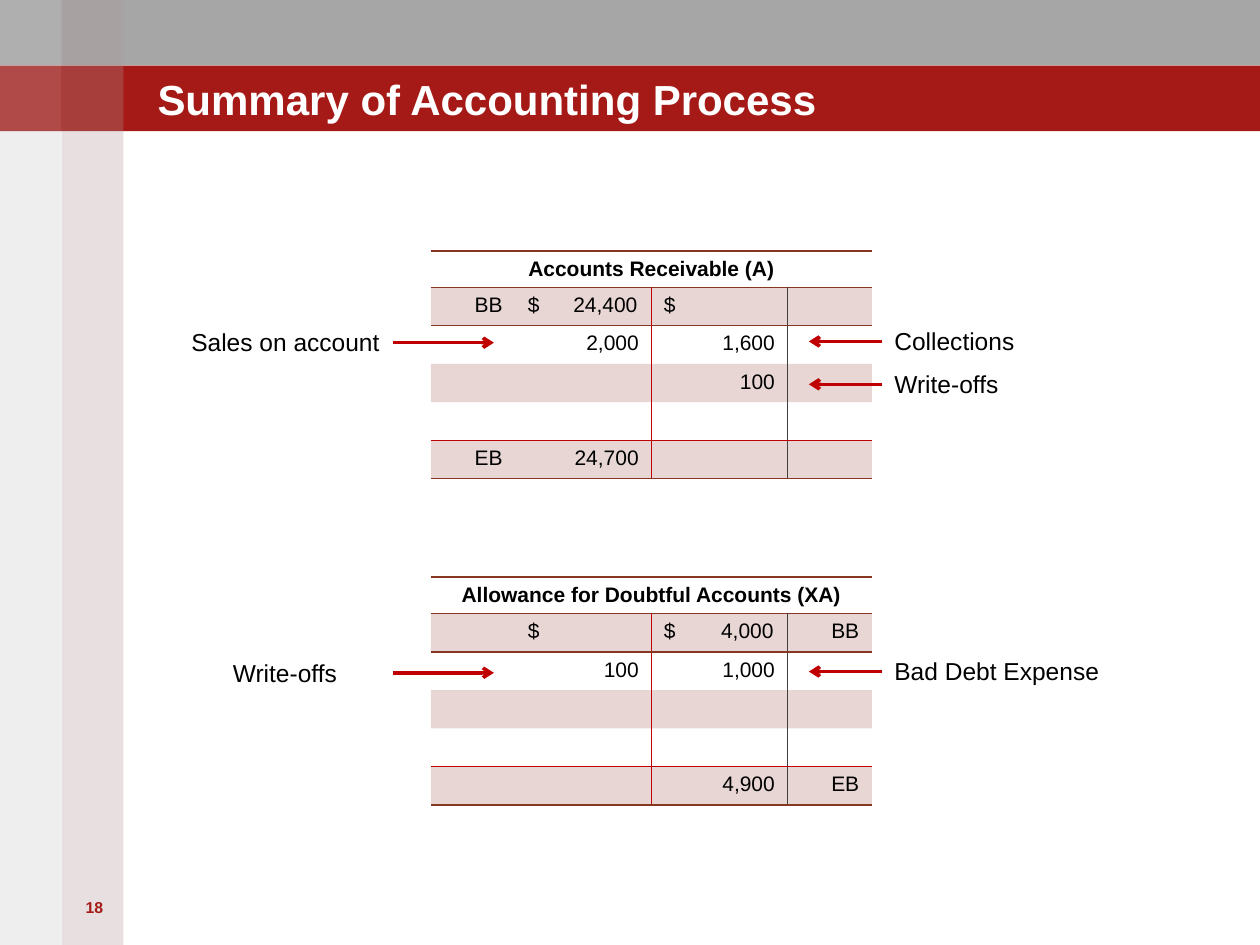
"""Build the slide that sums up the accounting process with two T-accounts."""
from lxml.etree import SubElement as Sub
from pptx import Presentation
from pptx.dml.color import RGBColor
from pptx.enum.shapes import MSO_CONNECTOR as Line, MSO_SHAPE as Shape
from pptx.enum.text import MSO_ANCHOR as Anchor, PP_ALIGN as Align
from pptx.oxml.ns import qn
from pptx.util import Inches, Pt

GRAY = RGBColor(0xA6, 0xA6, 0xA6)
RED = RGBColor(0xA5, 0x1A, 0x17)
ROSE = RGBColor(0xA0, 0x82, 0x84)
STONE = RGBColor(0x93, 0x8F, 0x8F)
WHITE = RGBColor(0xFF, 0xFF, 0xFF)
BLACK = RGBColor(0, 0, 0)
DARK = RGBColor(0x40, 0x40, 0x40)
BROWN = RGBColor(0x87, 0x36, 0x24)
CRIMSON = RGBColor(0xC0, 0, 0)

PLAIN = "{2D5ABB26-0587-4C30-8999-92F81FD0307C}"
WIDE, HIGH = 10, 7.5
COL, BAR = 0.49, 0.52
LEFT, RIGHT = 3.12, 7
TALL = 0.34
COLS = [0.67, 1.08, 1.08, 0.67]
ROW = 0.29


def paint(item, color, alpha=100):
    item.fill.solid()
    item.fill.fore_color.rgb = color
    if alpha < 100:
        props = item._element.spPr if hasattr(item, "shadow") else item._tc.tcPr
        tone = props.find(qn("a:solidFill"))[0]
        Sub(tone, qn("a:alpha"), val=str(alpha * 1000))


def write(frame, text, size, color, bold=False, align=Align.LEFT):
    frame.text = text
    par = frame.paragraphs[0]
    par.alignment = align
    for run in par.runs:
        font = run.font
        font.name, font.size, font.bold = "Arial", Pt(size), bold
        font.color.rgb = color
    return par


deck = Presentation()
deck.slide_width, deck.slide_height = Inches(WIDE), Inches(HIGH)
slide = deck.slides.add_slide(deck.slide_layouts[5])
shapes = slide.shapes

bands = [
    (0, 0, WIDE, BAR, GRAY, 100),
    (0, BAR, WIDE, BAR, RED, 100),
    (COL, 0, COL, HIGH, ROSE, 25),
    (0, 0, COL, HIGH, STONE, 15),
]
bands += [(x * COL, y * BAR, COL, BAR, WHITE, alpha)
          for y in (0, 1) for x, alpha in ((1, 5), (0, 15))]
for x, y, wide, high, color, alpha in bands:
    band = shapes.add_shape(Shape.RECTANGLE, *map(Inches, (x, y, wide, high)))
    band.shadow.inherit = False
    band.line.fill.background()
    paint(band, color, alpha)

page = shapes.add_textbox(*map(Inches, (0.5, 7.08, 0.5, 0.4)))
page.text_frame.word_wrap = True
write(page.text_frame, "18", 9, RED, True, Align.CENTER)

title = shapes.title
shapes._spTree.append(title._element)
title.left, title.top, title.width, title.height = map(Inches, (1.25, 0.31, 8.25, 0.67))
frame = title.text_frame
frame.margin_left = frame.margin_right = frame.margin_top = frame.margin_bottom = 0
frame.vertical_anchor = Anchor.BOTTOM
write(frame, "Summary of Accounting Process", 24, WHITE, True)

accounts = [
    (1.99, "Accounts Receivable (A)", {
        (1, 0): "BB", (1, 1): "$\t24,400", (1, 2): "$",
        (2, 1): "2,000", (2, 2): "1,600", (3, 2): "100",
        (5, 0): "EB", (5, 1): "24,700"}),
    (4.58, "Allowance for Doubtful Accounts (XA)", {
        (1, 1): "$", (1, 2): "$\t4,000", (1, 3): "BB",
        (2, 1): "100", (2, 2): "1,000",
        (5, 2): "4,900", (5, 3): "EB"}),
]
for top, name, items in accounts:
    box = shapes.add_table(6, 4, *map(Inches, (3.42, top, sum(COLS), 6 * ROW)))
    table = box.table
    table._tbl.tblPr.find(qn("a:tableStyleId")).text = PLAIN
    for col, wide in zip(table.columns, COLS):
        col.width = Inches(wide)
    for row in table.rows:
        row.height = Inches(ROW)
    table.cell(0, 0).merge(table.cell(0, 3))
    for r in range(6):
        for c in range(4):
            cell = table.cell(r, c)
            edges = {}
            if r and c in (1, 2):
                edges["L" if c == 2 else "R"] = (CRIMSON, 1)
            if r and c in (2, 3):
                edges["R" if c == 2 else "L"] = (DARK, 0.5)
            if r in (0, 1):
                edges["T"] = (BROWN, 1)
            if r in (0, 5):
                edges["B"] = (BROWN, 1)
            if r in (4, 5):
                edges["B" if r == 4 else "T"] = (CRIMSON, 0.5)
            props = cell._tc.get_or_add_tcPr()
            for side in "LRTB":
                if side in edges:
                    color, size = edges[side]
                    edge = Sub(props, qn("a:ln" + side), w=str(Pt(size)))
                    Sub(Sub(edge, qn("a:solidFill")), qn("a:srgbClr"), val=str(color))
            if r % 2:
                paint(cell, BROWN, 20)
            text = items.get((r, c))
            if text:
                side = Align.LEFT if text.startswith("$") else Align.RIGHT
                par = write(cell.text_frame, text, 12, BLACK, False, side)
                if "\t" in text:
                    tabs = Sub(par._p.get_or_add_pPr(), qn("a:tabLst"))
                    Sub(tabs, qn("a:tab"), pos=str(Inches(0.87)), algn="r")
            else:
                Sub(cell.text_frame.paragraphs[0]._p, qn("a:endParaRPr"), sz="1200")
    head = table.cell(0, 0).text_frame
    for end in head.paragraphs[0]._p.findall(qn("a:endParaRPr")):
        head.paragraphs[0]._p.remove(end)
    write(head, name, 12, BLACK, True, Align.CENTER)

labels = [
    ("Sales on account", 1.42, 2.55, LEFT - 1.42),
    ("Write-offs", RIGHT, 2.88, 1.2),
    ("Collections", RIGHT, 2.54, 1.2),
    ("Write-offs", 1.75, 5.17, LEFT - 1.75),
    ("Bad Debt Expense", RIGHT, 5.16, 1.84),
]
for text, x, y, wide in labels:
    label = shapes.add_textbox(*map(Inches, (x, y, wide, TALL)))
    label.text_frame.word_wrap = True
    label.text_frame.margin_right = 0
    write(label.text_frame, text, 14, BLACK)
    start, stop, site = (RIGHT, 6.42, 1) if x == RIGHT else (LEFT, 3.92, 3)
    mid = y + TALL / 2
    arrow = shapes.add_connector(Line.STRAIGHT, *map(Inches, (start, mid, stop, mid)))
    arrow.begin_connect(label, site)
    arrow.line.color.rgb = CRIMSON
    arrow.line.width = Pt(2)
    Sub(arrow.line._get_or_add_ln(), qn("a:tailEnd"), type="arrow")
    Sub(arrow._element.spPr, qn("a:effectLst"))

deck.save("out.pptx")
